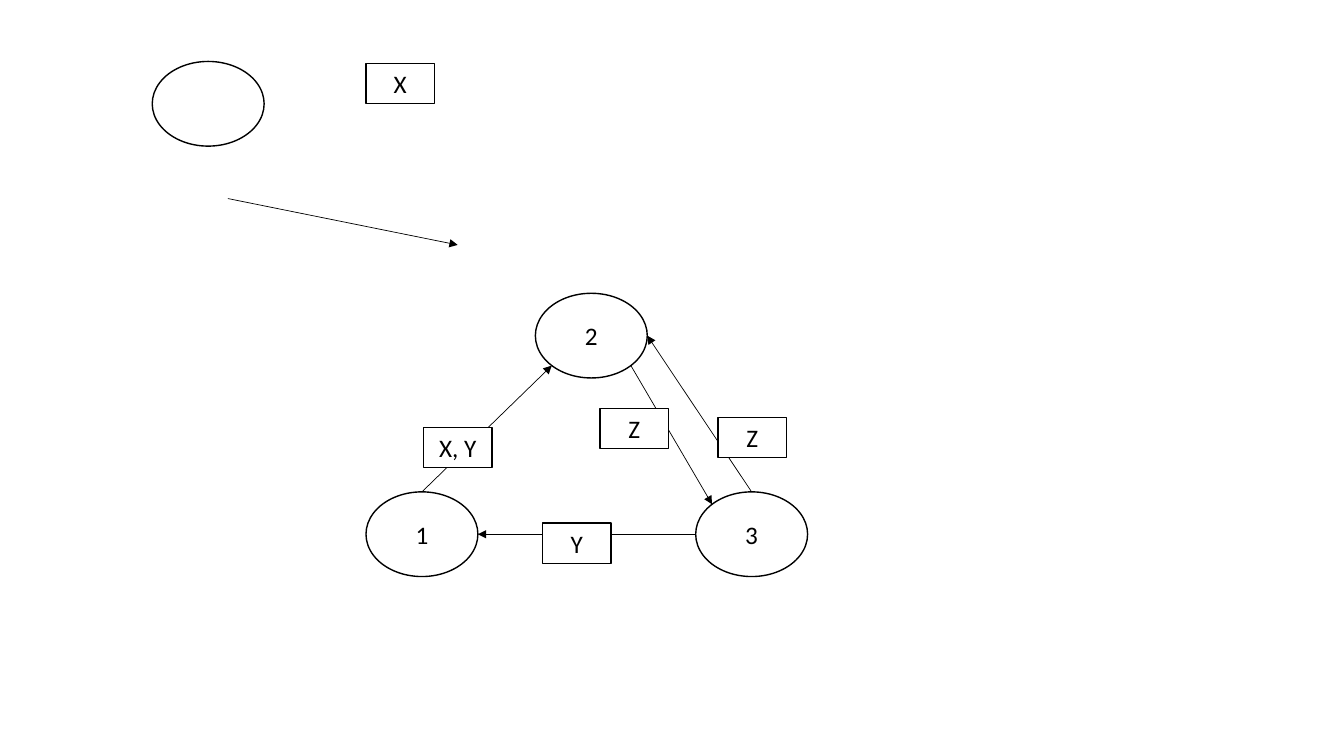
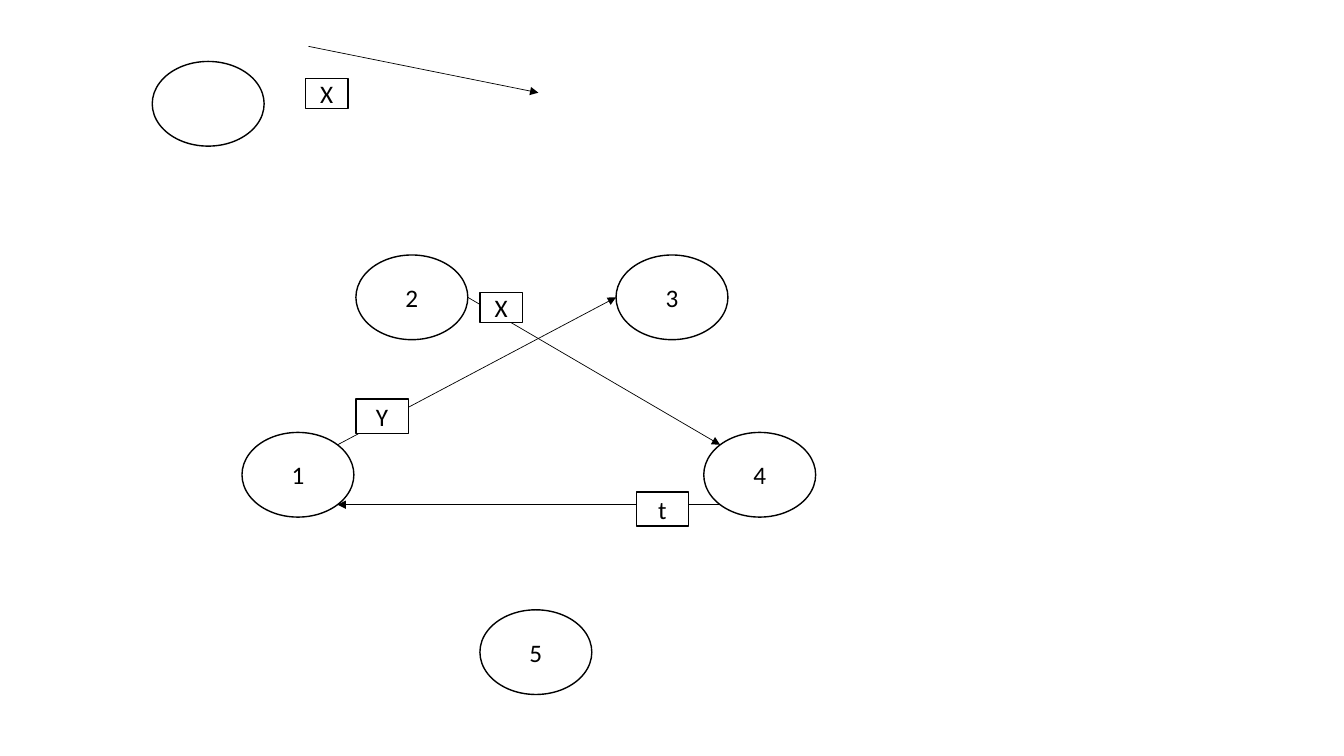
from math import cos, radians, sin

from lxml.etree import SubElement
from pptx import Presentation
from pptx.dml.color import RGBColor
from pptx.enum.shapes import MSO_CONNECTOR, MSO_SHAPE
from pptx.enum.text import MSO_ANCHOR, PP_ALIGN
from pptx.oxml.ns import qn
from pptx.util import Inches, Pt

BLACK = RGBColor(0x00, 0x00, 0x00)
WHITE = RGBColor(0xFF, 0xFF, 0xFF)
FONT_FORMAT = {"name": "Calibri", "size": Pt(18)}
FRAME_FORMAT = {"vertical_anchor": MSO_ANCHOR.MIDDLE, "word_wrap": True}
OUTLINE_WIDTH, ARROW_WIDTH = Pt(1), Pt(0.5)

NODE_SIZE = (1.11, 0.84)
LARGE, MEDIUM, SMALL = (0.68, 0.4), (0.52, 0.34), (0.42, 0.3)
LEGEND_NODE = (1.51, 0.61)
LEGEND_ARROW_SPAN = (2.28, 0.46)

# Connection sites of an ellipse, counter-clockwise from the top in steps of 45 degrees
TOP, TOP_LEFT, LEFT, BOTTOM_LEFT, BOTTOM, BOTTOM_RIGHT, RIGHT, TOP_RIGHT = range(8)

# nodes: name -> left, top; edges: from, site, to, site; labels: text, left, top, size
DIAGRAMS = [
    {
        "legend_arrow": (2.26, 1.97),
        "nodes": {"1": (3.63, 4.88), "2": (5.31, 2.91), "3": (6.9, 4.88)},
        "edges": [
            ("2", BOTTOM_RIGHT, "3", TOP_LEFT),
            ("1", TOP, "2", BOTTOM_LEFT),
            ("3", TOP, "2", RIGHT),
            ("3", LEFT, "1", RIGHT),
        ],
        "labels": [
            ("X", 3.63, 0.63, LARGE),
            ("Z", 5.95, 4.05, LARGE),
            ("X, Y", 4.2, 4.24, LARGE),
            ("Z", 7.12, 4.14, LARGE),
            ("Y", 5.38, 5.19, LARGE),
        ],
    },
    {
        "legend_arrow": (3.06, 0.46),
        "nodes": {
            "1": (2.4, 4.29),
            "2": (3.53, 2.53),
            "3": (6.11, 2.53),
            "4": (6.98, 4.29),
            "5": (4.76, 6.05),
        },
        "edges": [
            ("1", TOP_RIGHT, "3", LEFT),
            ("2", RIGHT, "4", TOP_LEFT),
            ("4", BOTTOM_LEFT, "1", BOTTOM_RIGHT),
        ],
        "labels": [
            ("X", 3.03, 0.78, SMALL),
            ("Y", 3.53, 3.96, MEDIUM),
            ("X", 4.76, 2.9, SMALL),
            ("t", 6.31, 4.88, MEDIUM),
        ],
    },
]


def apply_format(target, values):
    for name, value in values.items():
        setattr(target, name, value)


def add_outlined_shape(slide, kind, position, size, text=""):
    shape = slide.shapes.add_shape(kind, *map(Inches, position + size))
    shape.shadow.inherit = False
    shape.fill.solid()
    shape.fill.fore_color.rgb = WHITE
    shape.line.color.rgb = BLACK
    shape.line.width = OUTLINE_WIDTH
    if text:
        apply_format(shape.text_frame, FRAME_FORMAT)
        paragraph = shape.text_frame.paragraphs[0]
        paragraph.alignment = PP_ALIGN.CENTER
        run = paragraph.add_run()
        run.text = text
        apply_format(run.font, FONT_FORMAT)
        run.font.color.rgb = BLACK
    return shape


def add_arrow(slide, start, end):
    arrow = slide.shapes.add_connector(
        MSO_CONNECTOR.STRAIGHT, *map(Inches, start + end)
    )
    arrow.line.color.rgb = BLACK
    arrow.line.width = ARROW_WIDTH
    SubElement(arrow.line._get_or_add_ln(), qn("a:tailEnd"), type="triangle")
    SubElement(arrow._element.spPr, qn("a:effectLst"))
    return arrow


def site_point(position, site):
    """Return the point of a connection site on the node at position."""
    angle = radians(90 + 45 * site)
    (left, top), (width, height) = position, NODE_SIZE
    return (
        left + width / 2 * (1 + cos(angle)),
        top + height / 2 * (1 - sin(angle)),
    )


def join(arrow, tag, node, site):
    """Attach one end of the arrow to any of the eight sites of an ellipse."""
    properties = arrow._element.find(".//" + qn("p:cNvCxnSpPr"))
    SubElement(properties, qn(tag), id=str(node.shape_id), idx=str(site))


def add_diagram(slide, diagram):
    start = diagram["legend_arrow"]
    add_arrow(slide, start, tuple(map(sum, zip(start, LEGEND_ARROW_SPAN))))
    add_outlined_shape(slide, MSO_SHAPE.OVAL, LEGEND_NODE, NODE_SIZE)

    positions = diagram["nodes"]
    nodes = {
        name: add_outlined_shape(slide, MSO_SHAPE.OVAL, position, NODE_SIZE, name)
        for name, position in positions.items()
    }
    for source, source_site, target, target_site in diagram["edges"]:
        arrow = add_arrow(
            slide,
            site_point(positions[source], source_site),
            site_point(positions[target], target_site),
        )
        join(arrow, "a:stCxn", nodes[source], source_site)
        join(arrow, "a:endCxn", nodes[target], target_site)
    for text, left, top, size in diagram["labels"]:
        add_outlined_shape(slide, MSO_SHAPE.RECTANGLE, (left, top), size, text)


def main():
    presentation = Presentation()
    presentation.slide_width = Inches(13.33)
    presentation.slide_height = Inches(7.5)
    blank_layout = presentation.slide_layouts[6]
    for diagram in DIAGRAMS:
        add_diagram(presentation.slides.add_slide(blank_layout), diagram)
    presentation.save("out.pptx")


if __name__ == "__main__":
    main()
